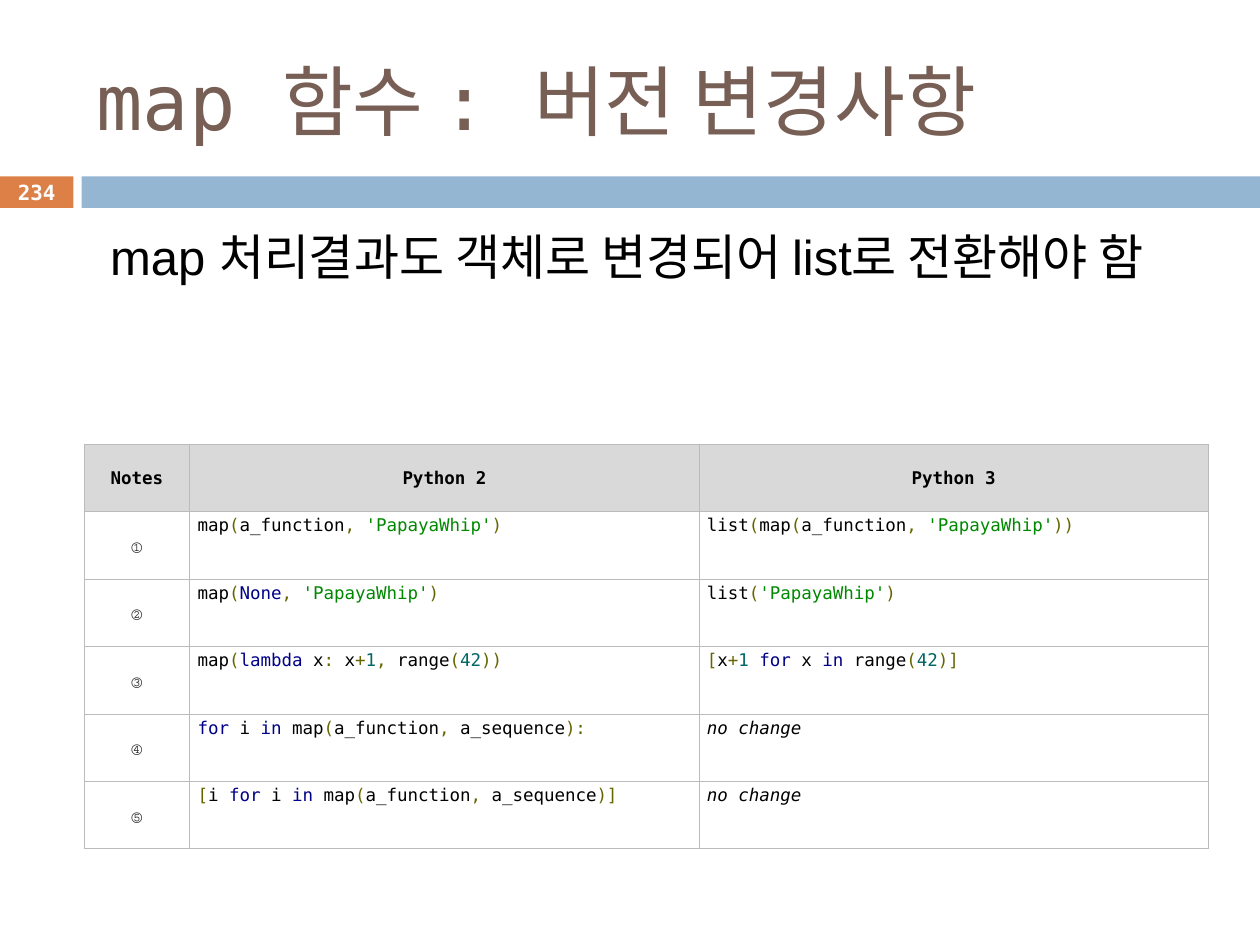
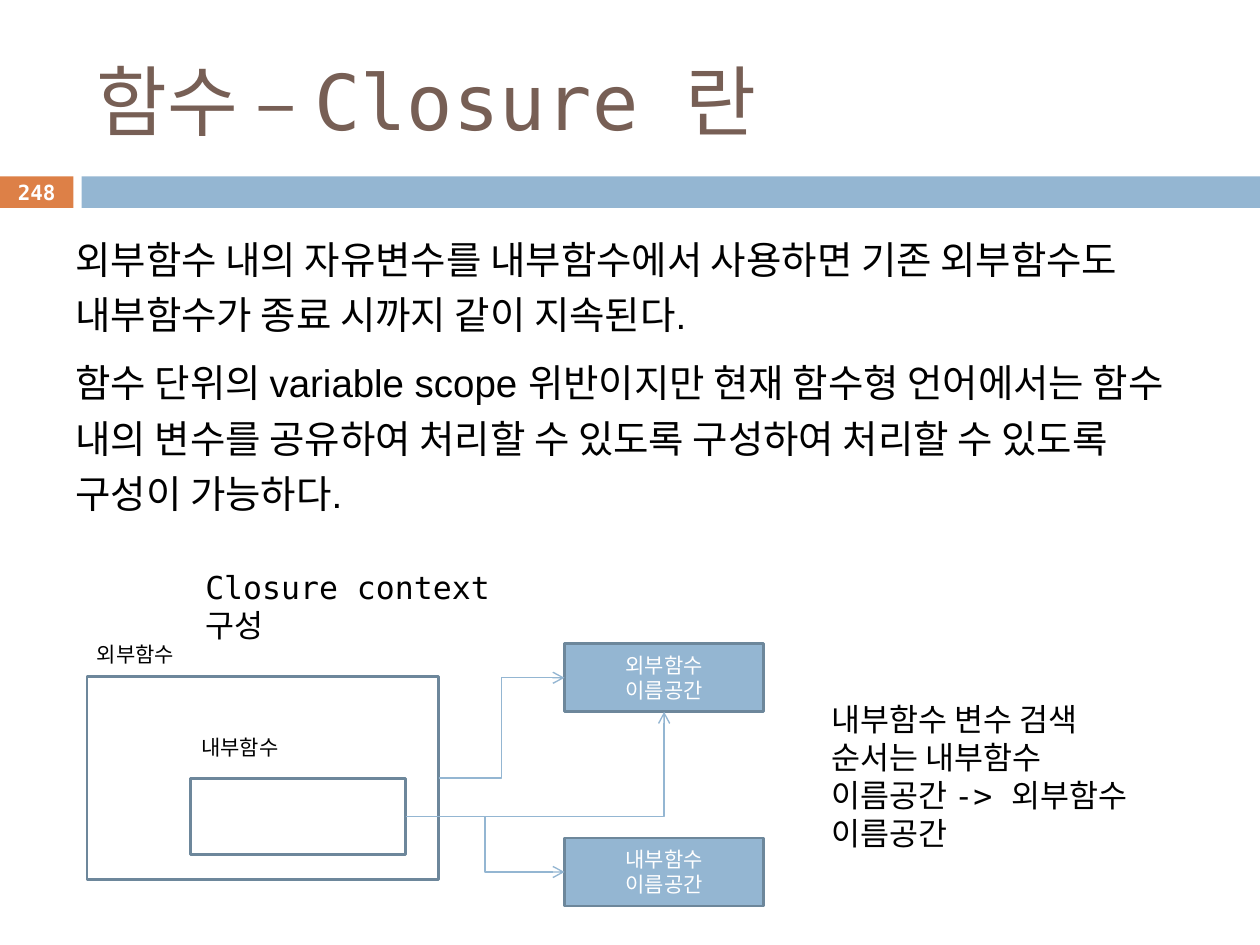
"""Build two slides on the map function and on closures."""
from itertools import groupby

from lxml.etree import SubElement
from pptx import Presentation
from pptx.dml.color import RGBColor
from pptx.enum.shapes import MSO_CONNECTOR, MSO_SHAPE
from pptx.enum.text import MSO_ANCHOR, MSO_AUTO_SIZE, PP_ALIGN
from pptx.oxml.ns import qn
from pptx.util import Pt

MONO, SANS = "DejaVu Sans Mono", "Arial"
BLACK, WHITE, BROWN = "000000", "FFFFFF", "775F55"
ORANGE, BLUE, EDGE = "DD8047", "94B6D2", "6D879B"
GRAY, GRID, INK = "D9D9D9", "BBBBBB", "222222"
SIGN, QUOTE, WORD, DIGIT = "666600", "008800", "000088", "006666"
KEYS = {"for", "in", "lambda", "None"}

MAP = {
    "title": "map 함수 : 버전 변경사항",
    "page": "234",
    "body": ["map 처리결과도 객체로 변경되어 list로 전환해야 함"],
    "area": (48, 126, 642, 138),
    "style": {"size": 28, "left": 7.8},
}
CLOSURE = {
    "title": "함수 – Closure 란",
    "page": "248",
    "body": [
        "외부함수 내의 자유변수를 내부함수에서 사용하면 기존 외부함수도 내부함수가 종료 시까지 같이 지속된다.",
        "함수 단위의 variable scope 위반이지만 현재 함수형 언어에서는 함수 내의 변수를 공유하여 처리할 수 있도록 구성하여 처리할 수 있도록 구성이 가능하다.",
    ],
    "area": (36, 126, 648, 195),
    "style": {"size": 22, "lead": 1.2, "gap": 7},
}

HEAD = ["Notes", "Python 2", "Python 3"]
SAME = "no change"
ROWS = [
    ("①", "map(a_function, 'PapayaWhip')", "list(map(a_function, 'PapayaWhip'))"),
    ("②", "map(None, 'PapayaWhip')", "list('PapayaWhip')"),
    ("③", "map(lambda x: x+1, range(42))", "[x+1 for x in range(42)]"),
    ("④", "for i in map(a_function, a_sequence):", SAME),
    ("⑤", "[i for i in map(a_function, a_sequence)]", SAME),
]
WIDTHS, HEIGHT = (60.5, 291, 291), 38.5

BOXES = {
    "outer": ((49.7, 386.6, 200.9, 115.9), WHITE, []),
    "inner": ((108.7, 445, 123.1, 43.2), WHITE, []),
    "top": ((322.6, 367.9, 113.8, 38.9), BLUE, ["외부함수", "이름공간"]),
    "low": ((322.6, 478.8, 113.8, 38.9), BLUE, ["내부함수", "이름공간"]),
}
LINKS = [
    ("inner", "low", 1, "bentConnector3"),
    ("inner", "top", 2, "bentConnector2"),
    ("outer", "top", 1, "bentConnector3"),
]
LABELS = [
    ("외부함수", 12, (48.2, 362.9, 68.4, 20.2)),
    ("내부함수", 12, (108, 416.2, 68.4, 20.2)),
    ("Closure context 구성", 18, (110.2, 321.1, 209.5, 28.8)),
    ("내부함수 변수 검색 순서는 내부함수 이름공간 -> 외부함수 이름공간", 18,
     (468, 396.7, 198.7, 94.3)),
]


def rgb(code):
    """Turn a hex string into a colour."""
    return RGBColor.from_string(code)


def pts(area):
    """Turn numbers into lengths in points."""
    return [Pt(n) for n in area]


def put(frame, lines, size=12, color=BLACK, face=MONO, bold=False, slant=False,
        align=PP_ALIGN.LEFT, lead=None, gap=0, left=None):
    """Write lines, each a string or a list of (text, colour) runs."""
    for k, line in enumerate(lines):
        para = frame.paragraphs[0] if k == 0 else frame.add_paragraph()
        if left is not None:
            props = para._p.get_or_add_pPr()
            props.set("marL", str(Pt(left)))
            props.set("indent", "0")
            SubElement(props, qn("a:buNone"))
        para.alignment = align
        para.space_before = Pt(gap if k else 0)
        if lead:
            para.line_spacing = lead
        for text, tint in [(line, color)] if isinstance(line, str) else line:
            run = para.add_run()
            run.text = text
            font = run.font
            font.name, font.size, font.color.rgb = face, Pt(size), rgb(tint)
            font.bold, font.italic = bold, slant


def setup(frame, anchor=MSO_ANCHOR.TOP):
    """Fix the wrap, size and anchor of a text frame."""
    frame.word_wrap = True
    frame.auto_size = MSO_AUTO_SIZE.NONE
    frame.vertical_anchor = anchor
    return frame


def place(shape, area):
    """Move a shape to an area."""
    shape.left, shape.top, shape.width, shape.height = pts(area)


def label(slide, lines, area, anchor=MSO_ANCHOR.TOP, **style):
    """Add a text box."""
    box = slide.shapes.add_textbox(*pts(area))
    put(setup(box.text_frame, anchor), lines, **style)


def rect(slide, area, fill, edge=None):
    """Add a flat rectangle."""
    box = slide.shapes.add_shape(MSO_SHAPE.RECTANGLE, *pts(area))
    box.shadow.inherit = False
    box.fill.solid()
    box.fill.fore_color.rgb = rgb(fill)
    if edge:
        box.line.color.rgb, box.line.width = rgb(edge), Pt(1.5)
    else:
        box.line.fill.background()
    return box


def start(deck, data):
    """Add a slide with its bands, title, body and page number."""
    slide = deck.slides.add_slide(deck.slide_layouts[1])
    rect(slide, (0, 100.8, 42, 18), ORANGE)
    rect(slide, (46.6, 100.8, 673.4, 18), BLUE)
    title, body = slide.shapes.title, slide.placeholders[1]
    place(title, (48, 18, 642, 78))
    put(setup(title.text_frame, MSO_ANCHOR.MIDDLE), [data["title"]],
        size=44, color=BROWN)
    place(body, data["area"])
    put(setup(body.text_frame), data["body"],
        **{"face": SANS, "left": 0, **data["style"]})
    label(slide, [data["page"]], (0, 100, 42, 19.5), MSO_ANCHOR.MIDDLE,
          size=11.9, color=WHITE, bold=True, align=PP_ALIGN.CENTER)
    return slide


def kind(char):
    """Sort a character into word, space or sign."""
    if char.isalnum() or char == "_":
        return "word"
    return "space" if char.isspace() else "sign"


def paint(code):
    """Split code into coloured runs."""
    runs = []
    for k, part in enumerate(code.replace(" ", chr(160)).split("'")):
        if k % 2:
            runs.append((f"'{part}'", QUOTE))
            continue
        for sort, chars in groupby(part, kind):
            text = "".join(chars)
            if sort == "sign":
                tint = SIGN
            elif text in KEYS:
                tint = WORD
            else:
                tint = DIGIT if text.isdigit() else BLACK
            runs.append((text, tint))
    return runs


def style(cell, fill, anchor):
    """Set the fill, margins and borders of a cell."""
    cell.margin_left = cell.margin_right = Pt(4.5)
    cell.margin_top = cell.margin_bottom = Pt(2.25)
    cell.vertical_anchor = anchor
    props = cell._tc.get_or_add_tcPr()
    for side in ("lnL", "lnR", "lnT", "lnB"):
        line = SubElement(props, qn(f"a:{side}"), w=str(Pt(0.6)))
        SubElement(SubElement(line, qn("a:solidFill")), qn("a:srgbClr"), val=GRID)
    cell.fill.solid()
    cell.fill.fore_color.rgb = rgb(fill)


def grid(slide):
    """Add the table of version changes."""
    count = len(ROWS) + 1
    area = (48, 254, sum(WIDTHS), HEIGHT * count)
    table = slide.shapes.add_table(count, len(HEAD), *pts(area)).table
    for col, width in zip(table.columns, WIDTHS):
        col.width = Pt(width)
    for r, row in enumerate([HEAD, *ROWS]):
        table.rows[r].height = Pt(HEIGHT)
        for c, text in enumerate(row):
            cell, mid = table.cell(r, c), r == 0 or c == 0
            style(cell, WHITE if r else GRAY,
                  MSO_ANCHOR.MIDDLE if mid else MSO_ANCHOR.TOP)
            plain = mid or text == SAME
            put(cell.text_frame, [text if plain else paint(text)], size=10,
                color=INK if r and c == 0 else BLACK, bold=r == 0,
                slant=text == SAME,
                align=PP_ALIGN.CENTER if mid else PP_ALIGN.LEFT)


def link(slide, head, tail, side, bend):
    """Join the right side of one box to a side of another."""
    wire = slide.shapes.add_connector(MSO_CONNECTOR.ELBOW, 0, 0, 0, 0)
    wire.begin_connect(head, 3)
    wire.end_connect(tail, side)
    wire.line.color.rgb, wire.line.width = rgb(BLUE), Pt(0.79)
    props = wire._element.spPr
    props.find(qn("a:prstGeom")).set("prst", bend)
    SubElement(props.find(qn("a:ln")), qn("a:tailEnd"), type="arrow")
    SubElement(props, qn("a:effectLst"))


def scheme(slide):
    """Draw the closure context."""
    boxes = {}
    for name, (area, fill, lines) in BOXES.items():
        boxes[name] = rect(slide, area, fill, EDGE)
        put(setup(boxes[name].text_frame, MSO_ANCHOR.MIDDLE), lines,
            color=WHITE, align=PP_ALIGN.CENTER)
    for head, tail, side, bend in LINKS:
        link(slide, boxes[head], boxes[tail], side, bend)
    for text, size, area in LABELS:
        label(slide, [text], area, size=size)


def main():
    """Build and save the deck."""
    deck = Presentation()
    deck.slide_width, deck.slide_height = Pt(720), Pt(540)
    grid(start(deck, MAP))
    scheme(start(deck, CLOSURE))
    deck.save("out.pptx")


if __name__ == "__main__":
    main()
